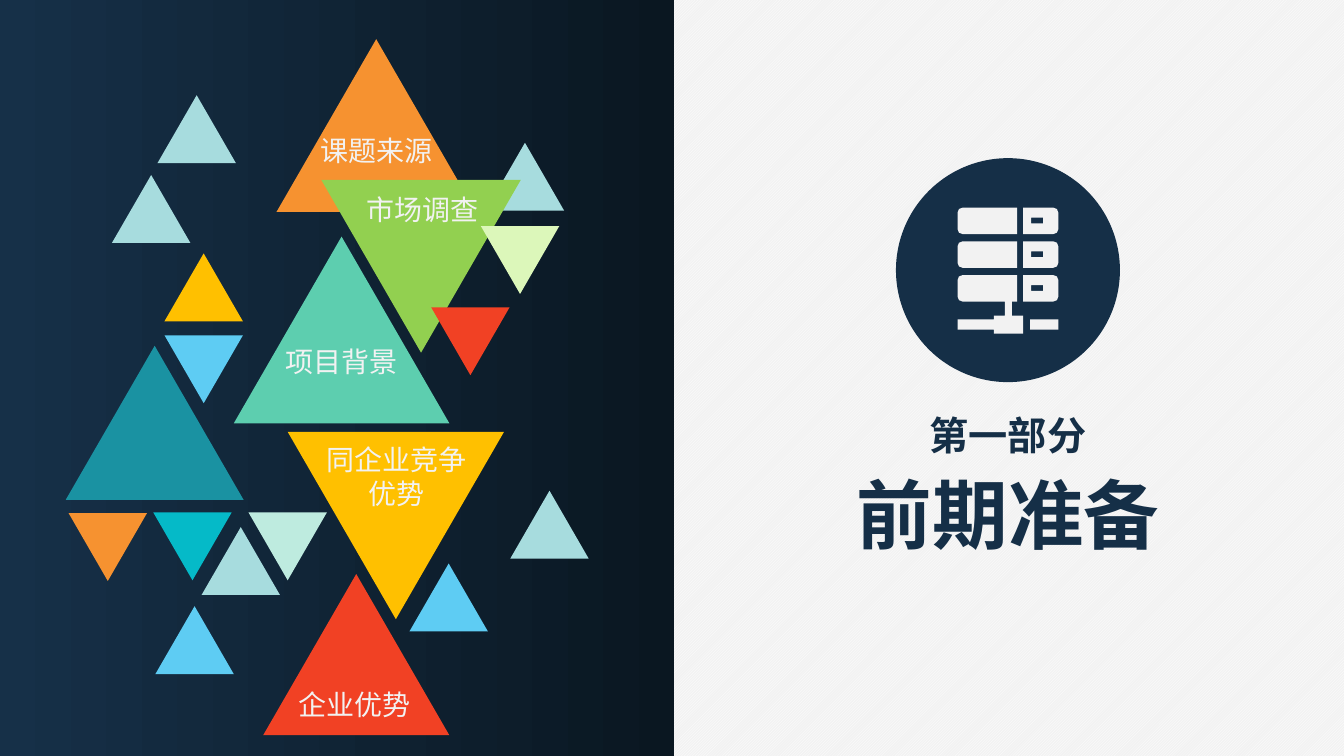
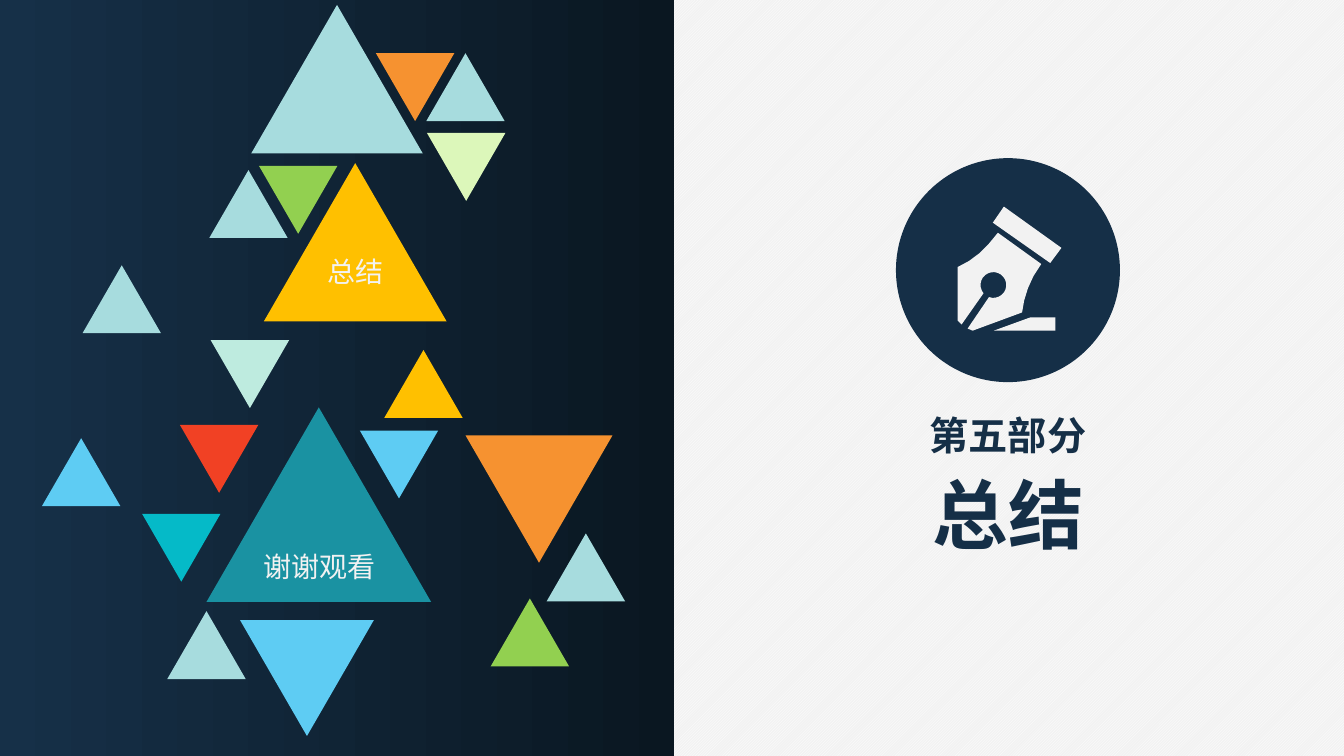
"""Build two section-divider slides with triangle mosaics and round icons."""
from math import cos, radians, sin, sqrt

from lxml import etree
from pptx import Presentation
from pptx.dml.color import RGBColor
from pptx.enum import dml, shapes, text
from pptx.oxml import ns
from pptx.util import Pt

FONT = "Noto Sans CJK SC"
COLOURS = {
    "navy": "152F47", "panel_left": "163048", "panel_right": "0A1721",
    "paper": "F2F2F2", "white": "FFFFFF", "pale": "A7DCDE", "mint": "BEEBDF",
    "green": "5DCEAF", "teal": "1A92A2", "sky": "5ECCF3", "orange": "F69230",
    "lime": "92D050", "cream": "DCF7BA", "aqua": "05BAC8", "amber": "FFC000",
    "red": "F14124",
}
RGB = {name: RGBColor.from_string(value) for name, value in COLOURS.items()}
SMALL = 56


def paint(shape, colour):
    shape.shadow.inherit = False
    shape.fill.solid()
    shape.fill.fore_color.rgb = RGB[colour]
    shape.line.fill.background()


def add_text(slide, wording, centre, top, width=120, height=32, size=20,
             colour="paper", bold=False):
    box = slide.shapes.add_textbox(Pt(centre - width / 2), Pt(top), Pt(width), Pt(height))
    frame = box.text_frame
    frame.word_wrap = True
    frame.text = wording
    for paragraph in frame.paragraphs:
        paragraph.alignment = text.PP_ALIGN.CENTER
        for run in paragraph.runs:
            run.font.name = FONT
            run.font.size = Pt(size)
            run.font.bold = bold
            run.font.color.rgb = RGB[colour]
            east_asian = etree.SubElement(run._r.get_or_add_rPr(), ns.qn("a:ea"))
            east_asian.set("typeface", FONT)


server_icon = [
    [(735.8, 228.2), (756, 228.2), (756, 235.4), (735.8, 235.4)],
    [(684, 228.2), (709.9, 228.2), (709.9, 225.4), (717.8, 225.4), (717.8, 215.4),
     (722.9, 215.4), (722.9, 225.4), (730.8, 225.4), (730.8, 238.3), (709.9, 238.3),
     (709.9, 235.4), (684, 235.4)],
]
for row in range(3):
    top = 148.3 + 24.1 * row
    bottom = top + 18.9
    for outer, inner, step in ((684, 726.5, 1), (756, 730.8, -1)):
        server_icon.append([
            (inner, top), (outer + 3.6 * step, top), (outer + step, top + 1),
            (outer, top + 3.6), (outer, bottom - 3.6), (outer + step, bottom - 1),
            (outer + 3.6 * step, bottom), (inner, bottom)])
    server_icon.append([(736.6, top + 7.2), (745.2, top + 7.2),
                        (745.2, top + 11.3), (736.6, top + 11.3)])

nib_hole = [(709.6 + 9.2 * cos(radians(angle)), 203.6 + 9.2 * sin(radians(angle)))
            for angle in range(110, -221, -15)]
pen_icon = [
    [(686.9, 231.8), (684, 229), (684, 190.8), (692.1, 186.5), (699.5, 181),
     (706.2, 174.3), (712.8, 166.3), (743.8, 188.6), (738.2, 197.3), (734.3, 205.9),
     (731.6, 214.6), (730.1, 223.2), (694.8, 236.2), (691.2, 234.7), *nib_hole],
    [(709.9, 236.2), (753.8, 236.2), (753.8, 226.8), (735.8, 226.8)],
    [(750.2, 187.9), (758.2, 177.1), (717.1, 147.6), (709.2, 159.1)],
]

sections = [
    {
        "part": "第一部分", "title": "前期准备", "icon": server_icon,
        "triangles": [
            ("up", "pale", 80, 125, SMALL), ("up", "pale", 347, 102, SMALL),
            ("down", "mint", 177.5, 366, SMALL), ("up", "green", 167, 169, 154),
            ("up", "teal", 47, 247, 127), ("up", "pale", 144, 376.5, SMALL),
            ("up", "sky", 111, 433, SMALL), ("up", "orange", 197.5, 28, 142.5),
            ("up", "pale", 112.5, 68, SMALL), ("down", "lime", 229.5, 128.5, 142.5),
            ("down", "cream", 343.5, 161.5, SMALL), ("down", "aqua", 109.5, 366, SMALL),
            ("down", "orange", 49, 366.5, SMALL), ("up", "amber", 117.5, 181, SMALL),
            ("down", "sky", 117.5, 239.5, SMALL), ("down", "red", 308, 219.5, SMALL),
            ("up", "red", 188, 410, 133), ("up", "pale", 364.5, 350.5, SMALL),
            ("down", "amber", 205.5, 308.5, 154.5), ("up", "sky", 292.5, 402.5, SMALL),
        ],
        "labels": [("项目背景", 244, 242.5), ("课题来源", 269, 92), ("市场调查", 302, 134),
                   ("同企业竞争\n优势", 283.5, 312.5), ("企业优势", 253, 487.5)],
    },
    {
        "part": "第五部分", "title": "总结", "icon": pen_icon,
        "triangles": [
            ("up", "pale", 59, 189.5, SMALL), ("up", "pale", 304.5, 38, SMALL),
            ("down", "mint", 150.5, 243, SMALL), ("up", "teal", 147.5, 291, 160.5),
            ("up", "pale", 119.5, 436.5, SMALL), ("up", "sky", 30, 313, SMALL),
            ("up", "pale", 149.5, 121.5, SMALL), ("down", "lime", 185, 118.5, SMALL),
            ("down", "cream", 305, 95, SMALL), ("down", "aqua", 101.5, 367, SMALL),
            ("down", "orange", 332.5, 311, 105), ("up", "amber", 274.5, 250, SMALL),
            ("down", "sky", 257, 307.5, SMALL), ("down", "red", 128.5, 303.5, SMALL),
            ("down", "sky", 171.5, 443, 95.5), ("up", "pale", 390.5, 381, SMALL),
            ("up", "amber", 188.5, 116.5, 130.5), ("up", "lime", 350.5, 427.5, SMALL),
            ("up", "pale", 179.5, 3.5, 122.5), ("down", "orange", 268.5, 38, SMALL),
        ],
        "labels": [("总结", 254, 178), ("谢谢观看", 228.5, 389)],
    },
]

presentation = Presentation()
presentation.slide_width = Pt(960)
presentation.slide_height = Pt(540)

background = presentation.slide_master.background.fill
background.patterned()
background.pattern = dml.MSO_PATTERN.LIGHT_UPWARD_DIAGONAL
background.fore_color.rgb = RGB["white"]
background.back_color.rgb = RGB["paper"]

for section in sections:
    slide = presentation.slides.add_slide(presentation.slide_layouts[6])

    panel = slide.shapes.add_shape(shapes.MSO_SHAPE.RECTANGLE, 0, 0, Pt(481.5), Pt(540))
    paint(panel, "navy")
    panel.fill.gradient()
    panel.fill.gradient_angle = 0
    for stop, colour in zip(panel.fill.gradient_stops, ("panel_left", "panel_right")):
        stop.color.rgb = RGB[colour]

    add_text(slide, section["title"], 720, 331, width=240, height=73, size=54,
             colour="navy", bold=True)
    add_text(slide, section["part"], 720, 290, width=240, height=41, size=28,
             colour="navy", bold=True)

    disc = slide.shapes.add_shape(shapes.MSO_SHAPE.OVAL, Pt(640), Pt(113), Pt(160), Pt(160))
    paint(disc, "navy")

    builder = None
    for contour in section["icon"]:
        points = [(Pt(x), Pt(y)) for x, y in contour]
        if builder is None:
            builder = slide.shapes.build_freeform(*points[0])
        else:
            builder.move_to(*points[0])
        builder.add_line_segments(points[1:], close=True)
    paint(builder.convert_to_shape(), "paper")

    for direction, colour, left, top, side in section["triangles"]:
        triangle = slide.shapes.add_shape(
            shapes.MSO_SHAPE.ISOSCELES_TRIANGLE,
            Pt(left), Pt(top), Pt(side), Pt(side * sqrt(3) / 2))
        triangle.rotation = 180 if direction == "down" else 0
        paint(triangle, colour)

    for wording, centre, top in section["labels"]:
        add_text(slide, wording, centre, top)

presentation.save("out.pptx")
